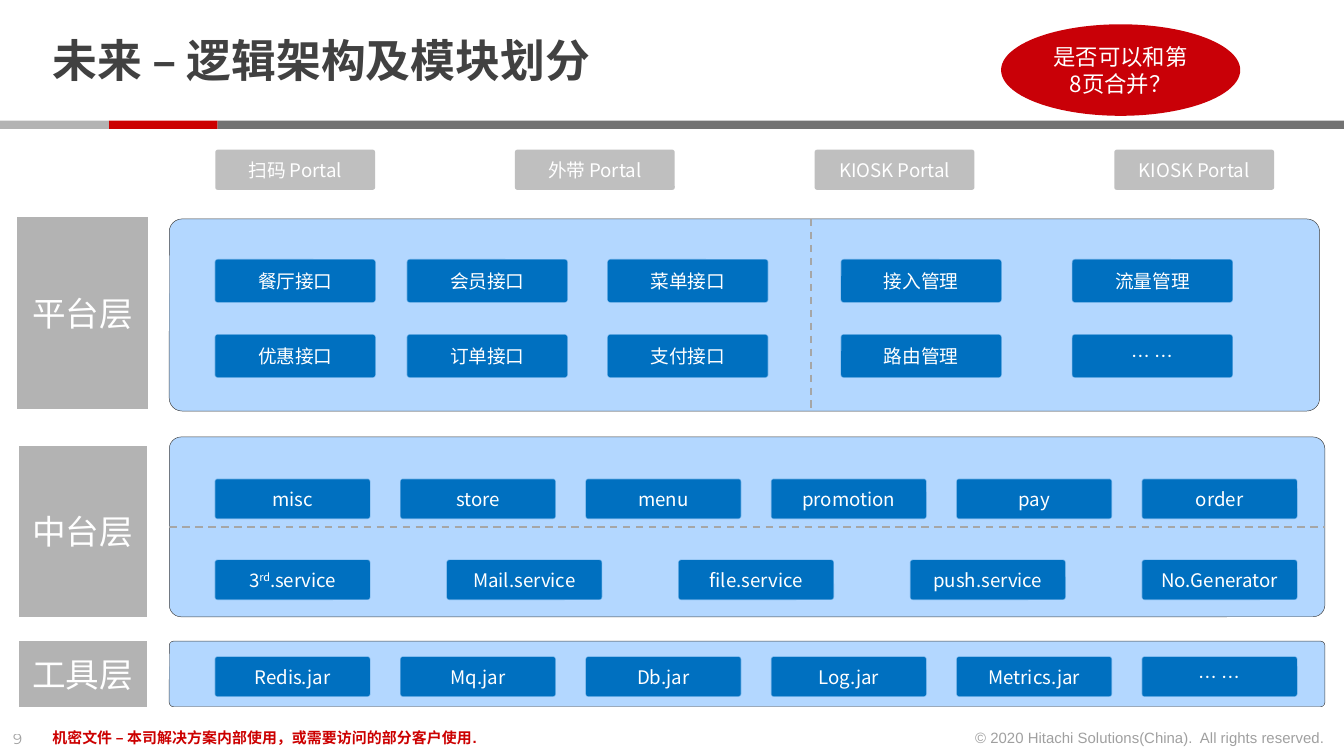
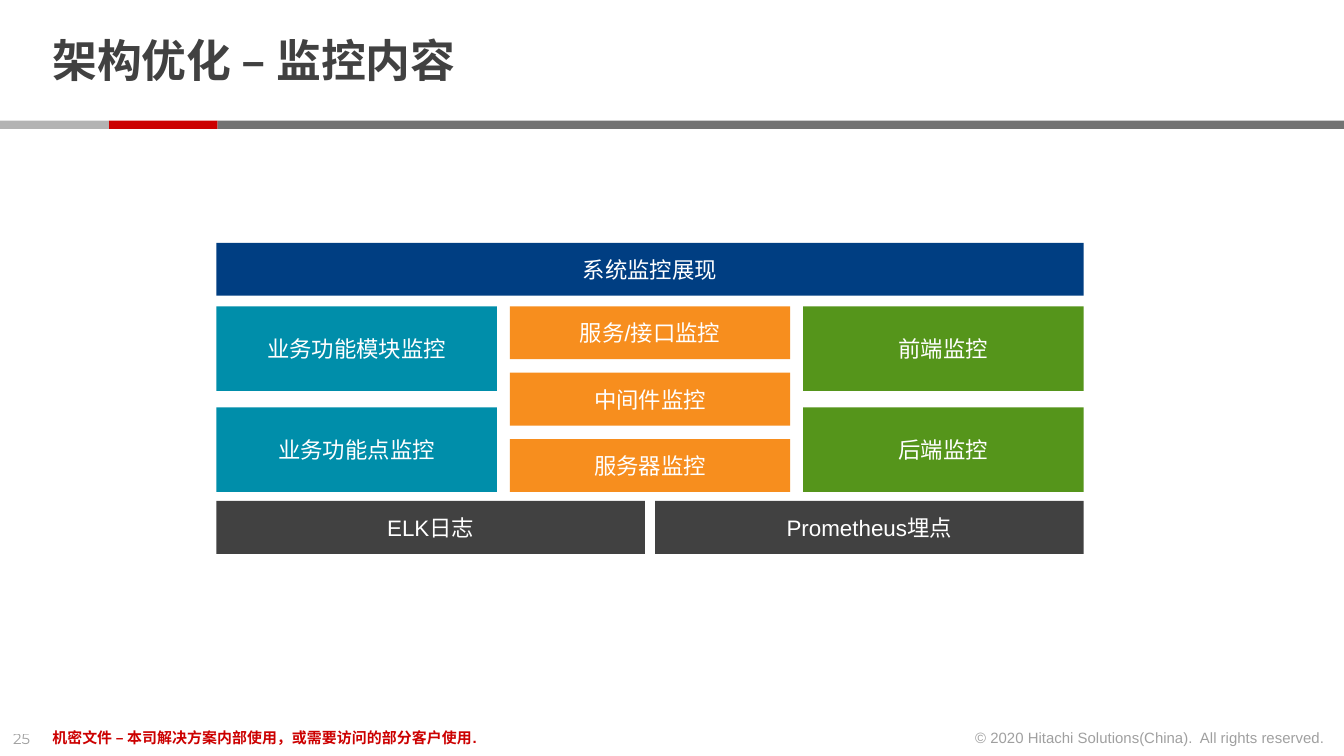
from dataclasses import dataclass
from typing import Optional

from lxml import etree
from pptx import Presentation
from pptx import util as u
from pptx.dml.color import RGBColor
from pptx.enum import dml, shapes, text
from pptx.oxml.ns import qn
from pptx.shapes.autoshape import Shape
from pptx.slide import Slide

# Shared palette and fonts
WHITE, INK, RED = "FFFFFF", "414141", "CC0000"
GREY, DARK_GREY, PORTAL_GREY, DASH_GREY = "B3B3B3", "737373", "BFBFBF", "A6A6A6"
BLUE, PANEL_BLUE, CALLOUT_RED = "0070C0", "B3D7FF", "C90007"
NAVY, TEAL, ORANGE, GREEN = "003E82", "008EAA", "F78E1E", "55951B"
SANS, ARIAL, MONT = "Noto Sans CJK SC", "Arial", "Montserrat"

RECT = shapes.MSO_SHAPE.RECTANGLE
ROUND = shapes.MSO_SHAPE.ROUNDED_RECTANGLE
PROCESS = shapes.MSO_SHAPE.FLOWCHART_PROCESS
OVAL = shapes.MSO_SHAPE.OVAL
LEFT, CENTER, RIGHT = text.PP_ALIGN.LEFT, text.PP_ALIGN.CENTER, text.PP_ALIGN.RIGHT


@dataclass(frozen=True)
class Box:
    """Place and size in centimetres."""
    x: float
    y: float
    w: float
    h: float

    def emu(self) -> tuple:
        return tuple(u.Cm(v) for v in (self.x, self.y, self.w, self.h))


@dataclass(frozen=True)
class Type:
    font: str
    size: float
    color: str = WHITE
    bold: bool = False
    align: text.PP_ALIGN = CENTER
    alpha: Optional[int] = None


@dataclass(frozen=True)
class Look:
    kind: shapes.MSO_SHAPE
    fill: str
    type: Optional[Type] = None
    line: Optional[str] = None
    line_pt: float = 0.75
    line_alpha: Optional[int] = None
    corner: Optional[float] = None


@dataclass(frozen=True)
class Row:
    """Equal chips spread from the left of the first to the right of the last."""
    y: float
    labels: tuple


CHIP_TYPE = Type(SANS, 10)
CHIP = Look(ROUND, BLUE, CHIP_TYPE, BLUE, 0.75, 40, 0.061)
PORTAL = Look(ROUND, PORTAL_GREY, CHIP_TYPE, corner=0.061)
PANEL = Look(ROUND, PANEL_BLUE, line=INK, line_pt=0.25, corner=0.066)
LAYER = Look(PROCESS, GREY, Type(MONT, 18))
CALLOUT = Look(OVAL, CALLOUT_RED, Type(SANS, 12))
TITLE = Type(SANS, 24, INK, True, LEFT)
FOOT_NUMBER = Type(MONT, 8, INK, align=LEFT, alpha=50)
FOOT_RIGHTS = Type(ARIAL, 8, INK, align=RIGHT, alpha=50)
FOOT_SECRET = Type(ARIAL, 8, RED, True, LEFT)


def rgb(color: str) -> RGBColor:
    return RGBColor.from_string(color)


def set_color(fill, color: str, alpha: Optional[int] = None) -> None:
    """Make a fill solid, with an optional opacity in percent."""
    fill.solid()
    fill.fore_color.rgb = rgb(color)
    if alpha is not None:
        clr = fill._xPr.find(qn("a:solidFill"))[0]
        etree.SubElement(clr, qn("a:alpha")).set("val", str(alpha * 1000))


def write(sp: Shape, label: str, kind: Type) -> None:
    """Write one paragraph; a ^ on each side marks superscript."""
    p = sp.text_frame.paragraphs[0]
    p.alignment = kind.align
    for i, part in enumerate(label.split("^")):
        r = p.add_run()
        r.text = part
        if i % 2:
            r._r.get_or_add_rPr().set("baseline", "30000")
    f = p.font
    f.name, f.size, f.bold = kind.font, u.Pt(kind.size), kind.bold
    set_color(f.fill, kind.color, kind.alpha)


def add_box(s: Slide, box: Box, look: Look, label: str = "") -> Shape:
    sp = s.shapes.add_shape(look.kind, *box.emu())
    sp.shadow.inherit = False
    set_color(sp.fill, look.fill)
    if look.corner is not None:
        sp.adjustments[0] = look.corner
    if look.line:
        sp.line.width = u.Pt(look.line_pt)
        set_color(sp.line.fill, look.line, look.line_alpha)
    else:
        sp.line.fill.background()
    if label:
        sp.text_frame.vertical_anchor = text.MSO_ANCHOR.MIDDLE
        write(sp, label, look.type)
    return sp


def add_text(s: Slide, box: Box, label: str, kind: Type, wrap: bool = True) -> Shape:
    sp = s.shapes.add_textbox(*box.emu())
    sp.text_frame.word_wrap = wrap
    write(sp, label, kind)
    return sp


def add_dash(s: Slide, x1: float, y1: float, x2: float, y2: float):
    ln = s.shapes.add_connector(shapes.MSO_CONNECTOR.STRAIGHT,
                                u.Cm(x1), u.Cm(y1), u.Cm(x2), u.Cm(y2))
    ln.line.width = u.Pt(1)
    set_color(ln.line.fill, DASH_GREY)
    ln.line.dash_style = dml.MSO_LINE.DASH
    etree.SubElement(ln._element.spPr, qn("a:effectLst"))
    return ln


def spread(start: float, end: float, size: float, count: int) -> list:
    """Starts of equal items that fill start..end with equal gaps."""
    step = (end - start - size) / (count - 1)
    return [start + i * step for i in range(count)]


def add_row(s: Slide, row: Row, end: float, w: float, h: float, look: Look) -> None:
    for x, label in zip(spread(4.07, end, w, len(row.labels)), row.labels):
        add_box(s, Box(x, row.y, w, h), look, label)


def add_page(prs, title: str, number: int) -> Slide:
    """Blank slide with title, colour band and footer."""
    s = prs.slides.add_slide(prs.slide_layouts[6])
    for x, w, color in ((4.11, 21.29, DARK_GREY), (2.06, 2.05, RED), (0, 2.06, GREY)):
        add_box(s, Box(x, 2.28, w, 0.16), Look(RECT, color))
    foots = (
        (Box(0, 13.67, 0.86, 0.61), str(number), FOOT_NUMBER, False),
        (Box(18.08, 13.64, 7.21, 0.61),
         "© 2020 Hitachi Solutions(China).\u00a0 All rights reserved.".replace("\u00a0", " "),
         FOOT_RIGHTS, False),
        (Box(0.74, 13.64, 17.12, 0.61),
         "机密文件 – 本司解决方案内部使用，或需要访问的部分客户使用.", FOOT_SECRET, True),
    )
    for box, label, kind, wrap in foots:
        sp = add_text(s, box, label, kind, wrap)
        sp.text_frame.auto_size = text.MSO_AUTO_SIZE.SHAPE_TO_FIT_TEXT
    tf = add_text(s, Box(0.74, 0.28, 19.58, 1.85), title, TITLE).text_frame
    tf.vertical_anchor = text.MSO_ANCHOR.MIDDLE
    tf.margin_top = tf.margin_bottom = 0
    tf.paragraphs[0].line_spacing = 0.85
    return s


def build_layers(prs) -> None:
    s = add_page(prs, "未来 – 逻辑架构及模块划分", 9)

    # Layer panels with their labels
    add_box(s, Box(3.2, 4.14, 21.74, 3.63), PANEL)
    middle = add_box(s, Box(3.2, 8.26, 21.84, 3.4), PANEL)
    add_box(s, Box(3.2, 12.12, 21.84, 1.24), PANEL)
    add_box(s, Box(0.33, 4.11, 2.46, 3.63), LAYER, "平台层")
    add_box(s, Box(0.36, 8.43, 2.41, 3.23), LAYER, "中台层")
    add_box(s, Box(0.36, 12.12, 2.41, 1.24), LAYER, "工具层")

    # Dashed dividers
    add_dash(s, 15.32, 4.14, 15.32, 7.77)
    divider = add_dash(s, 3.2, 9.96, 25.04, 9.96)
    divider.begin_connect(middle, 1)
    divider.end_connect(middle, 3)

    # Portals
    add_row(s, Row(2.83, ("扫码 Portal", "外带 Portal", "KIOSK Portal", "KIOSK Portal")),
            24.08, 3.02, 0.76, PORTAL)

    # Platform interfaces
    columns = (4.07, 7.7, 11.49, 15.9, 20.27)
    for row in (Row(4.91, ("餐厅接口", "会员接口", "菜单接口", "接入管理", "流量管理")),
                Row(6.33, ("优惠接口", "订单接口", "支付接口", "路由管理", "… …"))):
        for x, label in zip(columns, row.labels):
            add_box(s, Box(x, row.y, 3.02, 0.8), CHIP, label)

    # Services and tools
    for row in (
        Row(9.06, ("misc", "store", "menu", "promotion", "pay", "order")),
        Row(10.59, ("3^rd^.service", "Mail.service", "file.service",
                    "push.service", "No.Generator")),
        Row(12.42, ("Redis.jar", "Mq.jar", "Db.jar", "Log.jar", "Metrics.jar", "… …")),
    ):
        add_row(s, row, 24.51, 2.92, 0.74, CHIP)

    add_box(s, Box(18.92, 0.46, 4.52, 1.73), CALLOUT, "是否可以和第8页合并？")


def build_monitoring(prs) -> None:
    s = add_page(prs, "架构优化 – 监控内容", 25)
    left, right, bar_h = 4.09, 20.48, 1.0
    block = Type(ARIAL, 12)

    # Header bar
    add_box(s, Box(left, 4.59, right - left, bar_h), Look(RECT, NAVY, block), "系统监控展现")

    # Three columns of equal height
    columns = (
        (TEAL, 1.6, ("业务功能模块监控", "业务功能点监控")),
        (ORANGE, bar_h, ("服务/接口监控", "中间件监控", "服务器监控")),
        (GREEN, 1.6, ("前端监控", "后端监控")),
    )
    for x, (color, h, labels) in zip(spread(left, right, 5.3, 3), columns):
        for y, label in zip(spread(5.79, 9.3, h, len(labels)), labels):
            add_box(s, Box(x, y, 5.3, h), Look(RECT, color, block), label)

    # Data sources
    sources = ("ELK日志", "Prometheus埋点")
    for x, label in zip(spread(left, right, 8.1, 2), sources):
        add_box(s, Box(x, 9.47, 8.1, bar_h), Look(RECT, INK, block), label)


def main() -> None:
    prs = Presentation()
    prs.slide_width, prs.slide_height = u.Cm(25.4), u.Cm(14.29)
    build_layers(prs)
    build_monitoring(prs)
    prs.save("out.pptx")


if __name__ == "__main__":
    main()
